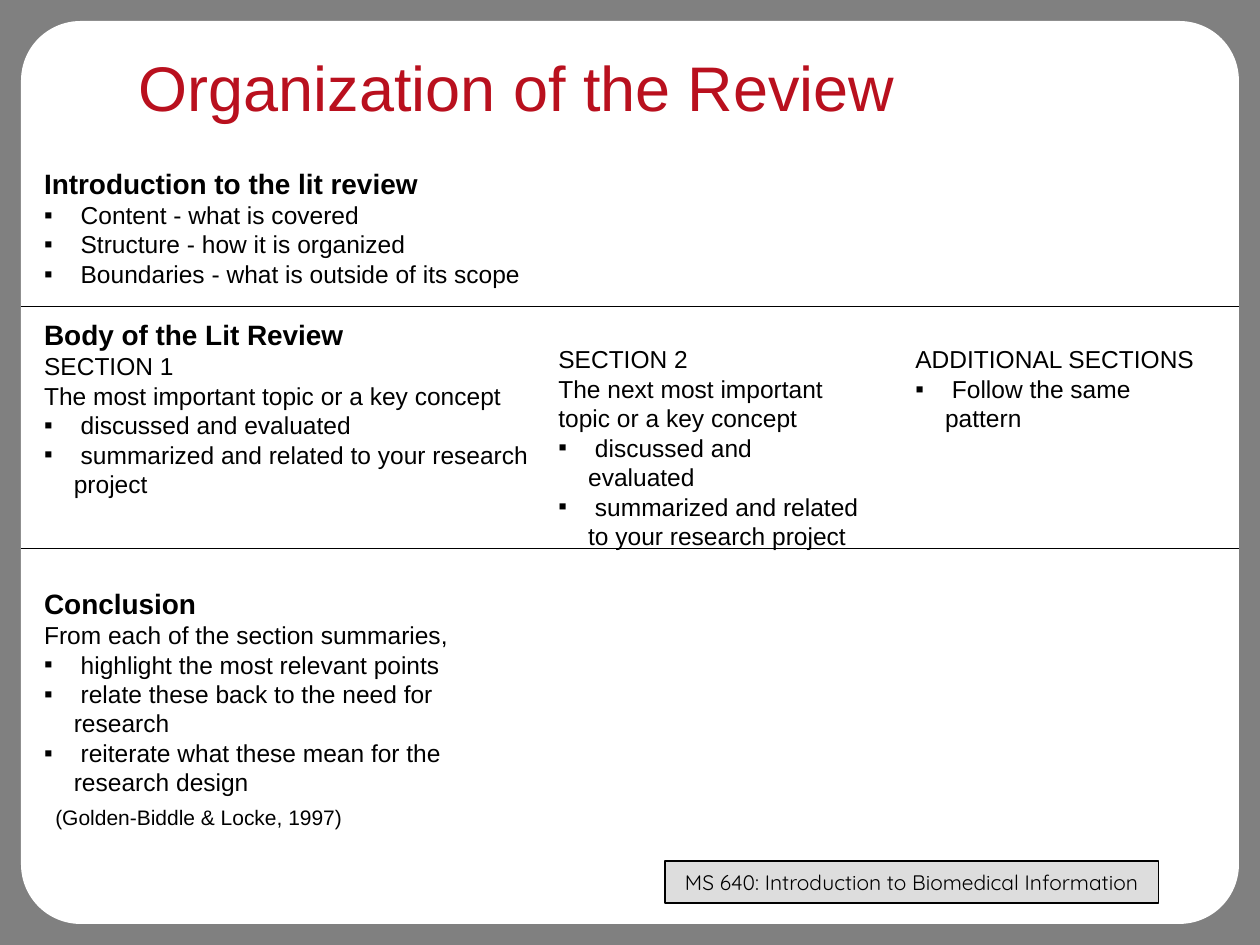
from lxml.etree import SubElement
from pptx import Presentation
from pptx.dml.color import RGBColor
from pptx.enum.shapes import MSO_CONNECTOR, MSO_SHAPE
from pptx.enum.text import MSO_ANCHOR, MSO_AUTO_SIZE, PP_ALIGN
from pptx.oxml.ns import qn
from pptx.util import Pt

BLACK = RGBColor(0x00, 0x00, 0x00)
WHITE = RGBColor(0xFF, 0xFF, 0xFF)
GRAY = RGBColor(0x80, 0x80, 0x80)
SILVER = RGBColor(0xC0, 0xC0, 0xC0)
RED = RGBColor(0xB9, 0x10, 0x1E)

HEADING, TEXT, BULLET = "heading", "text", "bullet"


class ReviewPage:
    font = "Arial"
    sizes = {HEADING: 16, TEXT: 14, BULLET: 14}
    line_factor = 1.2
    hang = 17

    def __init__(self, deck):
        self.page = deck.slides.add_slide(deck.slide_layouts[1])
        fill = self.page.background.fill
        fill.solid()
        fill.fore_color.rgb = GRAY

    def place(self, shape, left, top, width, height):
        shape.left, shape.top = Pt(left), Pt(top)
        shape.width, shape.height = Pt(width), Pt(height)

    def panel(self, shape_type, area, color):
        shape = self.page.shapes.add_shape(shape_type, *map(Pt, area))
        shape.shadow.inherit = False
        shape.fill.solid()
        shape.fill.fore_color.rgb = color
        shape.line.fill.background()
        return shape

    def send_to_back(self, shape):
        self.page.shapes._spTree.insert(2, shape._element)

    def style(self, para, size, color=BLACK, bold=False, gap=0, font=None):
        para.line_spacing = Pt(size * self.line_factor)
        para.space_before, para.space_after = Pt(gap), Pt(0)
        para.font.name = font or self.font
        para.font.size = Pt(size)
        para.font.bold = bold
        para.font.color.rgb = color

    def bullet(self, para, char=None):
        props = para._p.get_or_add_pPr()
        hang = Pt(self.hang) if char else 0
        props.set("marL", str(hang))
        props.set("indent", str(-hang))
        if char:
            SubElement(props, qn("a:buFont")).set("typeface", self.font)
            SubElement(props, qn("a:buChar")).set("char", char)
        else:
            SubElement(props, qn("a:buNone"))

    def frame(self, shape, wrap=True):
        frame = shape.text_frame
        frame.auto_size = MSO_AUTO_SIZE.NONE
        frame.word_wrap = wrap
        frame.vertical_anchor = MSO_ANCHOR.TOP
        return frame

    def title(self, text, area):
        shape = self.page.shapes.title
        self.place(shape, *area)
        para = self.frame(shape).paragraphs[0]
        para.text = text
        para.alignment = PP_ALIGN.LEFT
        self.style(para, 36, RED)

    def outline(self, shape, lines):
        """Fill a shape with (kind, text[, space before]) lines."""
        frame = self.frame(shape)
        for number, (kind, text, *gap) in enumerate(lines):
            para = frame.add_paragraph() if number else frame.paragraphs[0]
            para.text = text
            self.bullet(para, "▪" if kind == BULLET else None)
            self.style(para, self.sizes[kind], bold=kind == HEADING, gap=sum(gap))

    def body(self, area, lines):
        shape = self.page.placeholders[1]
        self.place(shape, *area)
        self.outline(shape, lines)

    def column(self, area, lines):
        self.outline(self.page.shapes.add_textbox(*map(Pt, area)), lines)

    def citation(self, text, area):
        box = self.page.shapes.add_textbox(*map(Pt, area))
        para = self.frame(box, wrap=False).paragraphs[0]
        para.text = text
        self.style(para, 12)

    def course_label(self, text, area):
        shape = self.panel(MSO_SHAPE.RECTANGLE, area, SILVER)
        color = shape.fill._xPr.find(qn("a:solidFill"))[0]
        SubElement(color, qn("a:alpha")).set("val", "53000")
        shape.line.color.rgb = BLACK
        shape.line.width = Pt(0.75)
        frame = self.frame(shape, wrap=False)
        frame.vertical_anchor = MSO_ANCHOR.MIDDLE
        para = frame.paragraphs[0]
        para.text = text
        para.alignment = PP_ALIGN.CENTER
        self.style(para, 12, font="Quicksand")

    def blank_table(self, area):
        shape = self.page.shapes.add_table(1, 1, *map(Pt, area))
        table = shape.table
        table.first_row = table.horz_banding = False
        cell = table.cell(0, 0)
        cell.fill.background()
        self.style(cell.text_frame.paragraphs[0], 12)
        return shape

    def divider(self, left, right, top):
        line = self.page.shapes.add_connector(
            MSO_CONNECTOR.STRAIGHT, Pt(left), Pt(top), Pt(right), Pt(top))
        line.line.color.rgb = BLACK
        line.line.width = Pt(0.75)
        SubElement(line._element.spPr, qn("a:effectLst"))


def main():
    deck = Presentation()
    deck.slide_width, deck.slide_height = Pt(720), Pt(540)
    review = ReviewPage(deck)

    # Backdrop, blank table and course label
    review.send_to_back(review.blank_table((205.2, 284.4, 308.9, 21.6)))
    backdrop = review.panel(MSO_SHAPE.ROUNDED_RECTANGLE, (12, 12, 696, 516), WHITE)
    backdrop.adjustments[0] = 0.066
    review.send_to_back(backdrop)
    review.course_label("MS 640: Introduction to Biomedical Information",
                        (380, 492, 282, 24))

    # Title and main outline
    review.title("Organization of the Review", (72, 24, 577.5, 50.4))
    blank = review.sizes[TEXT] * review.line_factor
    review.body((18, 91.5, 294, 384.5), [
        (HEADING, "Introduction to the lit review"),
        (BULLET, " Content - what is covered"),
        (BULLET, " Structure - how it is organized"),
        (BULLET, " Boundaries - what is outside of its scope"),
        (HEADING, "Body of the Lit Review", blank),
        (TEXT, "SECTION 1"),
        (TEXT, "The most important topic or a key concept"),
        (BULLET, " discussed and evaluated"),
        (BULLET, " summarized and related to your research project"),
        (HEADING, "Conclusion", 3 * blank),
        (TEXT, "From each of the section summaries,"),
        (BULLET, " highlight the most relevant points"),
        (BULLET, " relate these back to the need for research"),
        (BULLET, " reiterate what these mean for the research design"),
    ])

    # Further sections
    review.column((312, 193.3, 186, 125), [
        (TEXT, "SECTION 2"),
        (TEXT, "The next most important"),
        (TEXT, "topic or a key concept"),
        (BULLET, " discussed and evaluated"),
        (BULLET, " summarized and related to your research project"),
    ])
    review.column((516, 193.3, 174, 75), [
        (TEXT, "ADDITIONAL SECTIONS"),
        (BULLET, " Follow the same pattern"),
    ])

    # Dividers and citation
    for top in (175.2, 313.4):
        review.divider(12, 708, top)
    review.citation("(Golden-Biddle & Locke, 1997)", (24.5, 456, 178.5, 21.6))

    deck.save("out.pptx")


if __name__ == "__main__":
    main()
